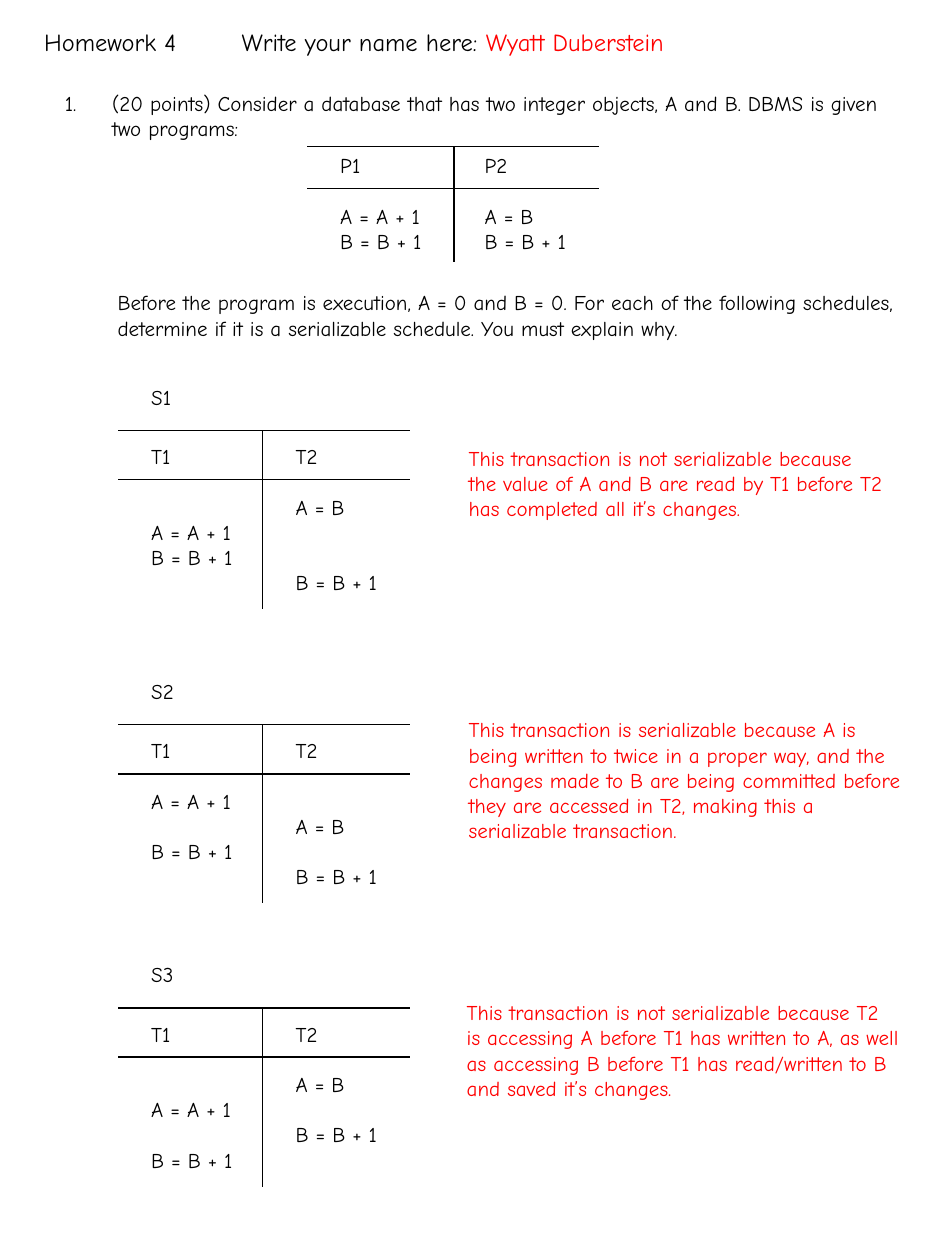
from lxml import etree
from pptx import Presentation
from pptx.dml.color import RGBColor
from pptx.enum.shapes import MSO_CONNECTOR
from pptx.enum.text import MSO_AUTO_SIZE
from pptx.oxml.ns import qn
from pptx.util import Cm, Pt

STRAIGHT = MSO_CONNECTOR.STRAIGHT
FIT_SHAPE = MSO_AUTO_SIZE.SHAPE_TO_FIT_TEXT
BLACK = RGBColor(0, 0, 0)
RED = RGBColor(255, 0, 0)
FONT = "Comic Neue"
BODY_SIZE = 12
TITLE_SIZE = 14
LINE_HEIGHT = 0.51
LINE_POINTS = 14.4
GRID_WIDTH = 5.88
COLUMN_WIDTH = 2.39
COLUMN_OFFSETS = (0.42, 3.33)


def format_run(run, color, size):
    run.font.name = FONT
    run.font.size = Pt(size)
    run.font.color.rgb = color


def add_text(slide, box, lines, color=BLACK, size=BODY_SIZE):
    shape = slide.shapes.add_textbox(*map(Cm, box))
    frame = shape.text_frame
    frame.word_wrap = True
    frame.auto_size = FIT_SHAPE
    frame.text = "\n".join(lines)
    for paragraph in frame.paragraphs:
        for run in paragraph.runs:
            format_run(run, color, size)
    return frame


def add_rule(slide, left, top, right, bottom):
    line = slide.shapes.add_connector(STRAIGHT, Cm(left), Cm(top), Cm(right), Cm(bottom))
    line.line.color.rgb = BLACK
    line.line.width = Pt(0.75)
    etree.SubElement(line._element.spPr, qn("a:effectLst"))


def add_title(slide, left, top, width, height):
    frame = add_text(slide, (left, top, width, height),
                     ["Homework 4\tWrite your name here: "], size=TITLE_SIZE)
    paragraph = frame.paragraphs[0]
    name = paragraph.add_run()
    name.text = "Wyatt Duberstein"
    format_run(name, RED, TITLE_SIZE)
    tabs = etree.SubElement(paragraph._p.get_or_add_pPr(), qn("a:tabLst"))
    etree.SubElement(tabs, qn("a:tab"), pos=str(Cm(3.98)), algn="l")


def add_question(slide, left, top, width, height):
    frame = add_text(slide, (left, top, width, height), [
        "(20 points) Consider a database that has two integer objects, A and B. "
        "DBMS is given two programs:"])
    properties = frame.paragraphs[0]._p.get_or_add_pPr()
    indent = Cm(0.95)
    properties.set("marL", str(indent))
    properties.set("indent", str(-indent))
    etree.SubElement(properties, qn("a:buAutoNum"), type="arabicPeriod")


def add_column(slide, left, top, steps):
    rows = [row for row, _ in steps]
    height = (rows[-1] + 1) * LINE_HEIGHT + 0.25
    frame = add_text(slide, (left, top, COLUMN_WIDTH, height), [text for _, text in steps])
    for paragraph, previous, row in zip(frame.paragraphs[1:], rows, rows[1:]):
        paragraph.space_before = Pt(LINE_POINTS * (row - previous - 1))


def add_grid(slide, left, top, height, header, divider, text_offset, columns):
    add_rule(slide, left + divider, top, left + divider, top + height)
    for y in (top + header, top):
        add_rule(slide, left, y, left + GRID_WIDTH, y)
    for offset, steps in zip(COLUMN_OFFSETS, columns):
        add_column(slide, left + offset, top + text_offset, steps)


def add_schedule(slide, left, top, label, rows, note, note_box):
    add_text(slide, (left + COLUMN_OFFSETS[0], top, 1.2, 0.76), [label])
    first_rows, second_rows = rows
    columns = (
        list(zip((0, *first_rows), ("T1", "A = A + 1", "B = B + 1"))),
        list(zip((0, *second_rows), ("T2", "A = B", "B = B + 1"))),
    )
    add_grid(slide, left, top + 1.06, 3.6, 0.99, 2.91, 0.14, columns)
    note_left, note_top, note_width, note_height = note_box
    add_text(slide, (left + note_left, top + note_top, note_width, note_height),
             [note], RED)


def main():
    presentation = Presentation()
    presentation.slide_width = Cm(19.05)
    presentation.slide_height = Cm(25.4)
    slide = presentation.slides.add_slide(presentation.slide_layouts[6])

    add_title(slide, 0.64, 0.43, 18.2, 0.86)
    add_question(slide, 1.06, 1.7, 16.93, 1.27)
    add_grid(slide, 6.19, 2.96, 2.33, 0.84, 2.96, 0, (
        [(0, "P1"), (2, "A = A + 1"), (3, "B = B + 1")],
        [(0, "P2"), (2, "A = B"), (3, "B = B + 1")],
    ))
    add_text(slide, (2.12, 5.72, 16.3, 1.27), [
        "Before the program is execution, A = 0 and B = 0. For each of the following "
        "schedules, determine if it is a serializable schedule. You must explain why."])

    schedules = (
        (7.62, "S1", ((3, 4), (2, 5)),
         "This transaction is not serializable because the value of A and B are read "
         "by T1 before T2 has completed all it’s changes.",
         (6.82, 1.23, 8.89, 1.78)),
        (13.55, "S2", ((2, 4), (3, 5)),
         "This transaction is serializable because A is being written to twice in a "
         "proper way, and the changes made to B are being committed before they are "
         "accessed in T2, making this a serializable transaction.",
         (6.82, 0.78, 9.22, 2.79)),
        (19.26, "S3", ((3, 5), (2, 4)),
         "This transaction is not serializable because T2 is accessing A before T1 has "
         "written to A, as well as accessing B before T1 has read/written to B and "
         "saved it’s changes.",
         (6.78, 0.77, 9.22, 2.29)),
    )
    for top, label, rows, note, note_box in schedules:
        add_schedule(slide, 2.38, top, label, rows, note, note_box)

    presentation.save("out.pptx")


if __name__ == "__main__":
    main()
